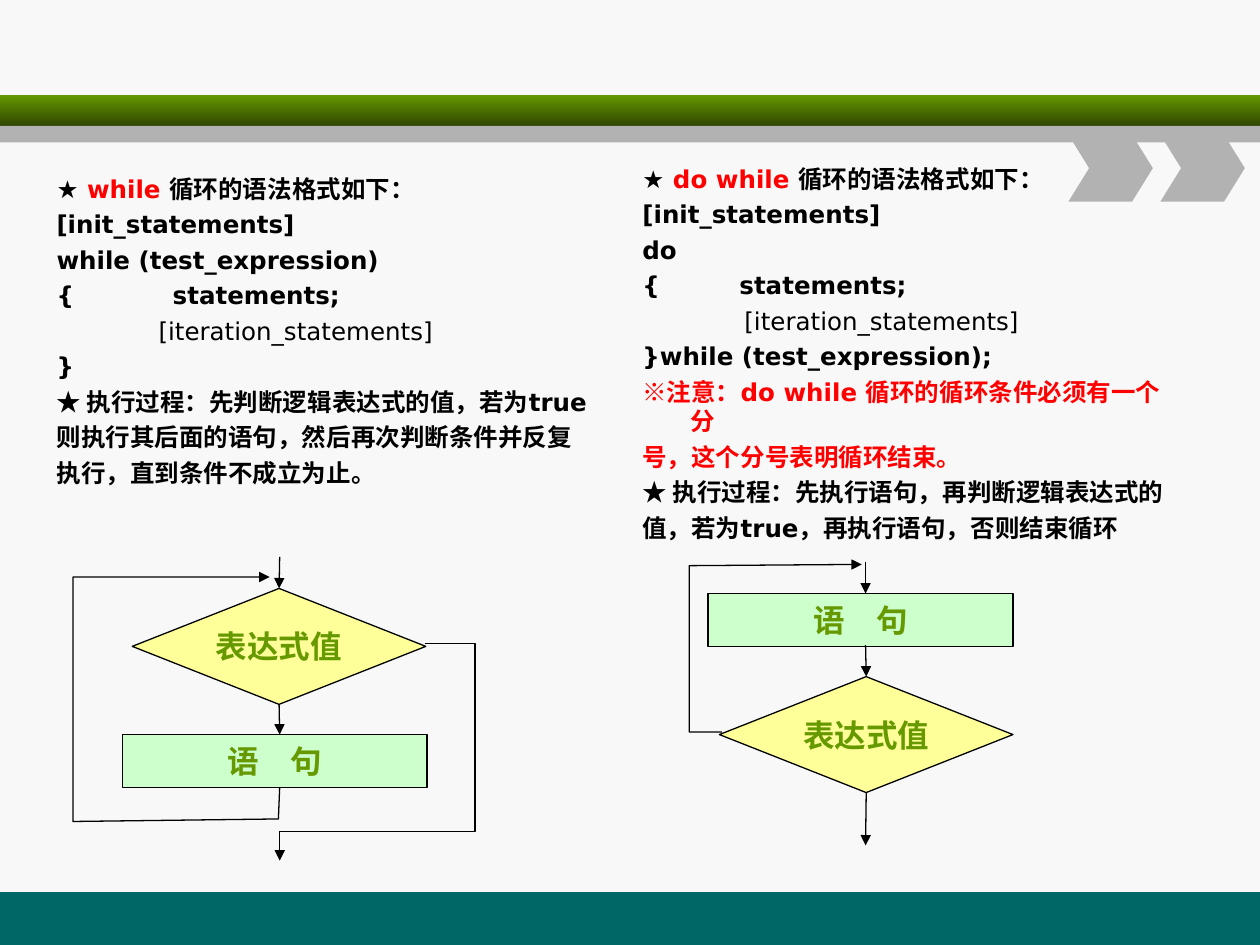
from lxml import etree
from pptx import Presentation
from pptx.dml.color import RGBColor
from pptx.enum import shapes, text
from pptx.oxml import ns
from pptx.util import Inches, Pt

COLORS = {
    "background": "F8F8F8", "footer": "006666", "green": "669900",
    "dark_green": "2F4700", "gray": "B2B2B2", "black": "000000",
    "red": "FF0000", "decision": "FFFF99", "process": "CCFFCC",
}
DIAMOND = shapes.MSO_SHAPE.DIAMOND
RECTANGLE = shapes.MSO_SHAPE.RECTANGLE

# Each paragraph is a list of (text, color) runs.
WHILE_TEXT = [
    [("★ ", "black"), ("while ", "red"), ("循环的语法格式如下：", "black")],
    [("[init_statements]", "black")],
    [("while (test_expression)", "black")],
    [("{\t        statements;", "black")],
    [("\t[iteration_statements]", "black")],
    [("}", "black")],
    [("★ 执行过程：先判断逻辑表达式的值，若为true", "black")],
    [("则执行其后面的语句，然后再次判断条件并反复", "black")],
    [("执行，直到条件不成立为止。", "black")],
]
DO_WHILE_TEXT = [
    [("★ ", "black"), ("do while ", "red"), ("循环的语法格式如下：", "black")],
    [("[init_statements]", "black")],
    [("do", "black")],
    [("{\t　　statements;", "black")],
    [("\t[iteration_statements]", "black")],
    [("}while (test_expression);", "black")],
    [("※注意：do while 循环的循环条件必须有一个分", "red")],
    [("号，这个分号表明循环结束。", "red")],
    [("★ 执行过程：先执行语句，再判断逻辑表达式的", "black")],
    [("值，若为true，再执行语句，否则结束循环", "black")],
]


def rgb(name):
    return RGBColor.from_string(COLORS[name])


def add_block(slide, kind, left, top, width, height, color):
    """Add a filled preset shape without outline or shadow."""
    shape = slide.shapes.add_shape(
        kind, Inches(left), Inches(top), Inches(width), Inches(height))
    shape.shadow.inherit = False
    shape.fill.solid()
    shape.fill.fore_color.rgb = rgb(color)
    shape.line.fill.background()
    return shape


def add_decoration(slide):
    add_block(slide, RECTANGLE, 0, 7.08, 10, 0.42, "footer")
    band = add_block(slide, RECTANGLE, 0, 0.75, 10, 0.25, "green")
    band.fill.gradient()
    band.fill.gradient_angle = 270
    for stop, color in zip(band.fill.gradient_stops, ("green", "dark_green")):
        stop.color.rgb = rgb(color)
    add_block(slide, RECTANGLE, 0, 1, 10, 0.13, "gray")
    for left in (8.48, 9.21):
        chevron = add_block(
            slide, shapes.MSO_SHAPE.CHEVRON, left, 1.07, 0.67, 0.53, "gray")
        chevron.adjustments[0] = 0.31


def add_explanation(slide, left, top, paragraphs):
    box = slide.shapes.add_textbox(
        Inches(left), Inches(top), Inches(4.42), Inches(4.95))
    frame = box.text_frame
    frame.word_wrap = True
    for index, runs in enumerate(paragraphs):
        paragraph = frame.paragraphs[0] if index == 0 else frame.add_paragraph()
        nested = runs[0][0].startswith("\t")
        margin, indent = (0.81, -0.31) if nested else (0.38, -0.38)
        properties = paragraph._p.get_or_add_pPr()
        properties.set("marL", str(Inches(margin)))
        properties.set("indent", str(Inches(indent)))
        paragraph.level = int(nested)
        if index:
            paragraph.space_before = Pt(3.5)
        paragraph.font.name = "DejaVu Sans"
        paragraph.font.size = Pt(14)
        paragraph.font.bold = not nested
        for words, color in runs:
            run = paragraph.add_run()
            run.text = words
            run.font.color.rgb = rgb(color)


def add_node(slide, kind, left, top, width, height, color, label):
    node = add_block(slide, kind, left, top, width, height, color)
    style_line(node)
    frame = node.text_frame
    frame.word_wrap = False
    frame.vertical_anchor = text.MSO_ANCHOR.MIDDLE
    paragraph = frame.paragraphs[0]
    paragraph.text = label
    paragraph.alignment = text.PP_ALIGN.CENTER
    paragraph.font.name = "Arial"
    paragraph.font.size = Pt(18)
    paragraph.font.bold = True
    paragraph.font.color.rgb = rgb("green")
    return node


def add_decision(slide, left, top):
    return add_node(
        slide, DIAMOND, left, top, 2.33, 0.92, "decision", "表达式值")


def add_process(slide, left, top):
    return add_node(
        slide, RECTANGLE, left, top, 2.42, 0.42, "process", "语　句")


def style_line(shape):
    shape.line.color.rgb = rgb("black")
    shape.line.width = Pt(0.75)


def add_arrowhead(shape):
    style_line(shape)
    etree.SubElement(
        shape.line._get_or_add_ln(), ns.qn("a:tailEnd"), type="triangle")


def add_down_arrow(slide, x, top, bottom, source=None, target=None):
    """Add a vertical arrow, joined to the source's bottom or target's top."""
    arrow = slide.shapes.add_connector(
        shapes.MSO_CONNECTOR.STRAIGHT,
        Inches(x), Inches(top), Inches(x), Inches(bottom))
    if source is not None:
        arrow.begin_connect(source, 2)
    if target is not None:
        arrow.end_connect(target, 0)
    add_arrowhead(arrow)
    etree.SubElement(arrow._element.spPr, ns.qn("a:effectLst"))


def add_path_arrow(slide, points):
    """Add an open bent arrow through the given points."""
    start, *others = [(Inches(x), Inches(y)) for x, y in points]
    builder = slide.shapes.build_freeform(*start)
    builder.add_line_segments(others, close=False)
    path_arrow = builder.convert_to_shape()
    path_arrow.shadow.inherit = False
    path_arrow.fill.background()
    add_arrowhead(path_arrow)


def add_while_flow(slide):
    decision = add_decision(slide, 1.05, 4.67)
    add_process(slide, 0.97, 5.83)
    add_path_arrow(slide, [
        (2.22, 6.25), (2.21, 6.5), (0.58, 6.52), (0.58, 4.58), (2.14, 4.58)])
    add_path_arrow(slide, [
        (3.37, 5.11), (3.77, 5.11), (3.77, 6.6), (2.22, 6.6), (2.22, 6.83)])
    add_down_arrow(slide, 2.22, 4.42, 4.67, target=decision)
    add_down_arrow(slide, 2.22, 5.58, 5.83, source=decision)


def add_do_while_flow(slide):
    decision = add_decision(slide, 5.71, 5.37)
    add_process(slide, 5.62, 4.71)
    add_down_arrow(slide, 6.87, 5.12, 5.37, target=decision)
    add_down_arrow(slide, 6.87, 4.46, 4.71)
    add_down_arrow(slide, 6.87, 6.29, 6.71, source=decision)
    add_path_arrow(slide, [
        (5.73, 5.81), (5.47, 5.81), (5.47, 4.49), (6.84, 4.48)])


def main():
    presentation = Presentation()
    presentation.slide_width = Inches(10)
    presentation.slide_height = Inches(7.5)
    slide = presentation.slides.add_slide(presentation.slide_layouts[6])
    slide.background.fill.solid()
    slide.background.fill.fore_color.rgb = rgb("background")
    add_decoration(slide)
    add_explanation(slide, 0.35, 1.33, WHILE_TEXT)
    add_explanation(slide, 5, 1.25, DO_WHILE_TEXT)
    add_while_flow(slide)
    add_do_while_flow(slide)
    presentation.save("out.pptx")


if __name__ == "__main__":
    main()
